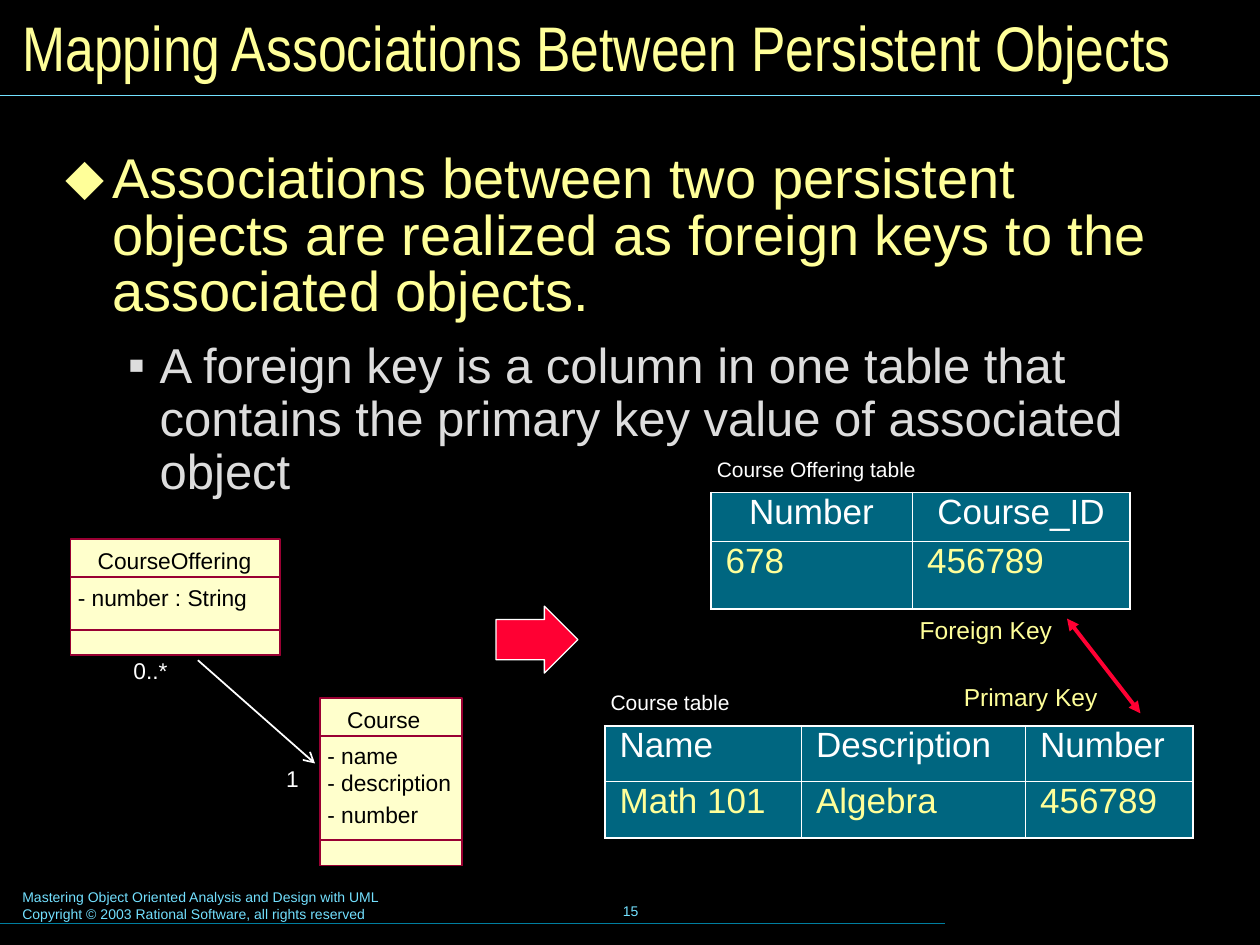
import pptx
import pptx.util
from lxml import etree
from pptx.dml.color import RGBColor
from pptx.enum.shapes import MSO_CONNECTOR, MSO_SHAPE
from pptx.enum.text import MSO_ANCHOR, MSO_AUTO_SIZE, PP_ALIGN
from pptx.oxml.ns import qn

Cm, Pt = pptx.util.Cm, pptx.util.Pt
COLORS = {
    "black": "000000", "white": "FFFFFF", "yellow": "FFFF99", "grey": "DDDDDD",
    "sky": "73E1FF", "teal": "007E9F", "cell": "00CCFF", "cream": "FFFFCC",
    "wine": "990033", "red": "FF0033",
}


def rgb(name):
    return RGBColor.from_string(COLORS[name])


def set_attrs(obj, values):
    for key, value in values.items():
        setattr(obj, key, value)


def sub(parent, tag, **attrs):
    return etree.SubElement(parent, qn(tag), attrs)


def set_frame(tf, margin_x=0.0, margin_y=0.0, anchor=MSO_ANCHOR.TOP):
    set_attrs(tf, {
        "word_wrap": True, "auto_size": MSO_AUTO_SIZE.NONE, "vertical_anchor": anchor,
        "margin_left": Cm(margin_x), "margin_right": Cm(margin_x),
        "margin_top": Cm(margin_y), "margin_bottom": Cm(margin_y),
    })


def write(p, text, size, color, font="Arial", **fmt):
    set_attrs(p, {"alignment": PP_ALIGN.LEFT, **fmt})
    r = p.add_run()
    r.text = text
    set_attrs(r.font, {"name": font, "size": Pt(size), "bold": False})
    r.font.color.rgb = rgb(color)


def add_text(s, box, lines, size, color, margins=(0, 0), anchor=MSO_ANCHOR.TOP, **fmt):
    tf = s.shapes.add_textbox(*map(Cm, box)).text_frame
    set_frame(tf, *margins, anchor)
    for i, line in enumerate(lines):
        p = tf.add_paragraph() if i else tf.paragraphs[0]
        write(p, line, size, color, **fmt)


def add_line(s, points, color, width, head=None, tail=None):
    c = s.shapes.add_connector(MSO_CONNECTOR.STRAIGHT, *map(Cm, points))
    c.line.color.rgb = rgb(color)
    c.line.width = Pt(width)
    ln = c.line._get_or_add_ln()
    for tag, kind in (("a:headEnd", head), ("a:tailEnd", tail)):
        if kind:
            sub(ln, tag, type=kind)
    sub(c._element.spPr, "a:effectLst")


def add_block(s, kind, box, fill, line, width):
    sp = s.shapes.add_shape(kind, *map(Cm, box))
    sp.shadow.inherit = False
    if fill:
        sp.fill.solid()
        sp.fill.fore_color.rgb = rgb(fill)
    else:
        sp.fill.background()
    sp.line.color.rgb = rgb(line)
    sp.line.width = Pt(width)
    return sp


def add_title(s, box, text):
    title = s.shapes.title
    set_attrs(title, dict(zip(("left", "top", "width", "height"), map(Cm, box))))
    set_frame(title.text_frame, 0.25, 0.13, MSO_ANCHOR.MIDDLE)
    write(title.text_frame.paragraphs[0], text, 36, "yellow", "Arial Narrow")
    add_line(s, (0, 1.93, 25.4, 1.93), "sky", 0.75)


def add_bullets(s, box, items):
    tf = s.shapes.add_textbox(*map(Cm, box)).text_frame
    set_frame(tf, 0.3, 0.15)
    for i, (text, char, size, color, margin, indent, spacing) in enumerate(items):
        p = tf.add_paragraph() if i else tf.paragraphs[0]
        pPr = p._p.get_or_add_pPr()
        pPr.set("marL", str(Cm(margin)))
        pPr.set("indent", str(Cm(-indent)))
        sub(sub(pPr, "a:buClr"), "a:srgbClr", val=COLORS[color])
        sub(pPr, "a:buFont", typeface="Arial")
        sub(pPr, "a:buChar", char=char)
        write(p, text, size, color, line_spacing=spacing, space_before=Pt(10.5 if i else 0))


def add_border(tcPr, side, width):
    ln = sub(tcPr, f"a:ln{side}", w=str(Pt(width)))
    sub(sub(ln, "a:solidFill"), "a:srgbClr", val=COLORS["white"])


def add_data_table(s, left, top, caption, cols, rows, data, head_align):
    add_text(s, (left - 0.18, top - 0.88, 5, 0.8), [caption], 12, "white", (0.3, 0.15))
    frame = s.shapes.add_table(len(rows), len(cols), Cm(left), Cm(top),
                               Cm(sum(cols)), Cm(sum(rows)))
    table = frame.table
    set_attrs(table, {"first_row": False, "horz_banding": False})
    for column, width in zip(table.columns, cols):
        column.width = Cm(width)
    for row, height in zip(table.rows, rows):
        row.height = Cm(height)
    for i, values in enumerate(data):
        for j, value in enumerate(values):
            cell = table.cell(i, j)
            set_attrs(cell, {"margin_left": Cm(0.3), "margin_right": Cm(0.3),
                             "margin_top": Cm(0.13), "margin_bottom": Cm(0.13)})
            write(cell.text_frame.paragraphs[0], value, 20, "yellow" if i else "white",
                  line_spacing=0.8, alignment=PP_ALIGN.LEFT if i else head_align)
            # Outer edges are heavier than the inner grid
            tcPr = cell._tc.get_or_add_tcPr()
            outer = {"L": j == 0, "R": j == len(cols) - 1,
                     "T": i == 0, "B": i == len(rows) - 1}
            for side, is_outer in outer.items():
                add_border(tcPr, side, 1.08 if is_outer else 0.45)
            cell.fill.solid()
            cell.fill.fore_color.rgb = rgb("cell")
            sub(tcPr.find(qn("a:solidFill"))[0], "a:alpha", val="50000")


def add_class(s, box, name, attributes):
    left, top, width, height = box
    head, foot = 0.77, 0.51
    for offset, h, fill in ((0, height, "cream"), (head, height - head, None),
                            (height - foot, foot, None)):
        add_block(s, MSO_SHAPE.RECTANGLE, (left, top + offset, width, h), fill, "wine", 1)
    for text, x, y in [(name, 0.55, 0.15)] + [(a, 0.15, dy) for a, dy in attributes]:
        add_text(s, (left + x, top + y, width - x, 0.56), [text], 13, "black")


def add_class_diagram(s, left, top):
    add_class(s, (left, top, 4.22, 2.34), "CourseOffering", [("- number : String", 0.89)])
    add_class(s, (left + 5.03, top + 3.2, 2.87, 3.38), "Course",
              [("- name", 0.89), ("- description", 1.42), ("- number", 2.08)])
    add_text(s, (left + 1.27, top + 2.36, 1, 0.56), ["0..*"], 13, "white")
    add_text(s, (left + 4.35, top + 4.55, 0.5, 0.56), ["1"], 13, "white")
    add_line(s, (left + 2.57, top + 2.44, left + 4.93, top + 4.52), "white", 1, tail="arrow")


def add_tables(s, left, top):
    add_data_table(s, left + 2.14, top, "Course Offering table", (4.06, 4.39), (0.99, 1.35),
                   [("Number", "Course_ID"), ("678", "456789")], PP_ALIGN.CENTER)
    add_data_table(s, left, top + 4.7, "Course table", (3.96, 4.52, 3.38), (1.13, 1.13),
                   [("Name", "Description", "Number"), ("Math 101", "Algebra", "456789")],
                   PP_ALIGN.LEFT)
    # Key link
    for text, x, y in (("Foreign Key", 6.05, 2.31), ("Primary Key", 6.94, 3.66)):
        add_text(s, (left + x, top + y, 3.4, 0.89), [text], 14, "yellow", (0.3, 0.15))
    add_line(s, (left + 9.32, top + 2.54, left + 10.8, top + 4.45), "red", 2.25,
             "triangle", "triangle")


def add_footer(s, left, top):
    add_text(s, (left, top, 12.95, 0.94),
             ["Mastering Object Oriented Analysis and Design with UML",
              "Copyright © 2003 Rational Software, all rights reserved"],
             8, "sky", (0.25, 0.13))
    add_text(s, (left + 8.49, top - 0.05, 8.05, 1.27), ["15"], 8, "sky", (0.25, 0.13),
             MSO_ANCHOR.MIDDLE, alignment=PP_ALIGN.CENTER)
    add_line(s, (0, top + 0.84, 19.05, top + 0.84), "teal", 0.75)


def main():
    prs = pptx.Presentation()
    set_attrs(prs, {"slide_width": Cm(25.4), "slide_height": Cm(19.05)})
    s = prs.slides.add_slide(prs.slide_layouts[5])
    s.background.fill.solid()
    s.background.fill.fore_color.rgb = rgb("black")

    add_footer(s, 0.2, 17.78)
    add_title(s, (0.2, 0.2, 25, 1.47), "Mapping Associations Between Persistent Objects")
    add_bullets(s, (1.02, 2.95, 23.6, 7.44), [
        ("Associations between two persistent objects are realized as foreign keys "
         "to the associated objects.", "⬥", 32, "yellow", 0.95, 0.95, 0.84),
        ("A foreign key is a column in one table that contains the primary key value "
         "of associated object", "▪", 28, "grey", 1.9, 0.64, 0.9),
    ])
    add_tables(s, 12.19, 9.93)
    add_class_diagram(s, 1.42, 10.87)
    arrow = add_block(s, MSO_SHAPE.RIGHT_ARROW, (10, 12.22, 1.65, 1.35), "red", "white", 0.75)
    arrow.adjustments[0], arrow.adjustments[1] = 0.6, 0.5
    prs.save("out.pptx")


if __name__ == "__main__":
    main()
